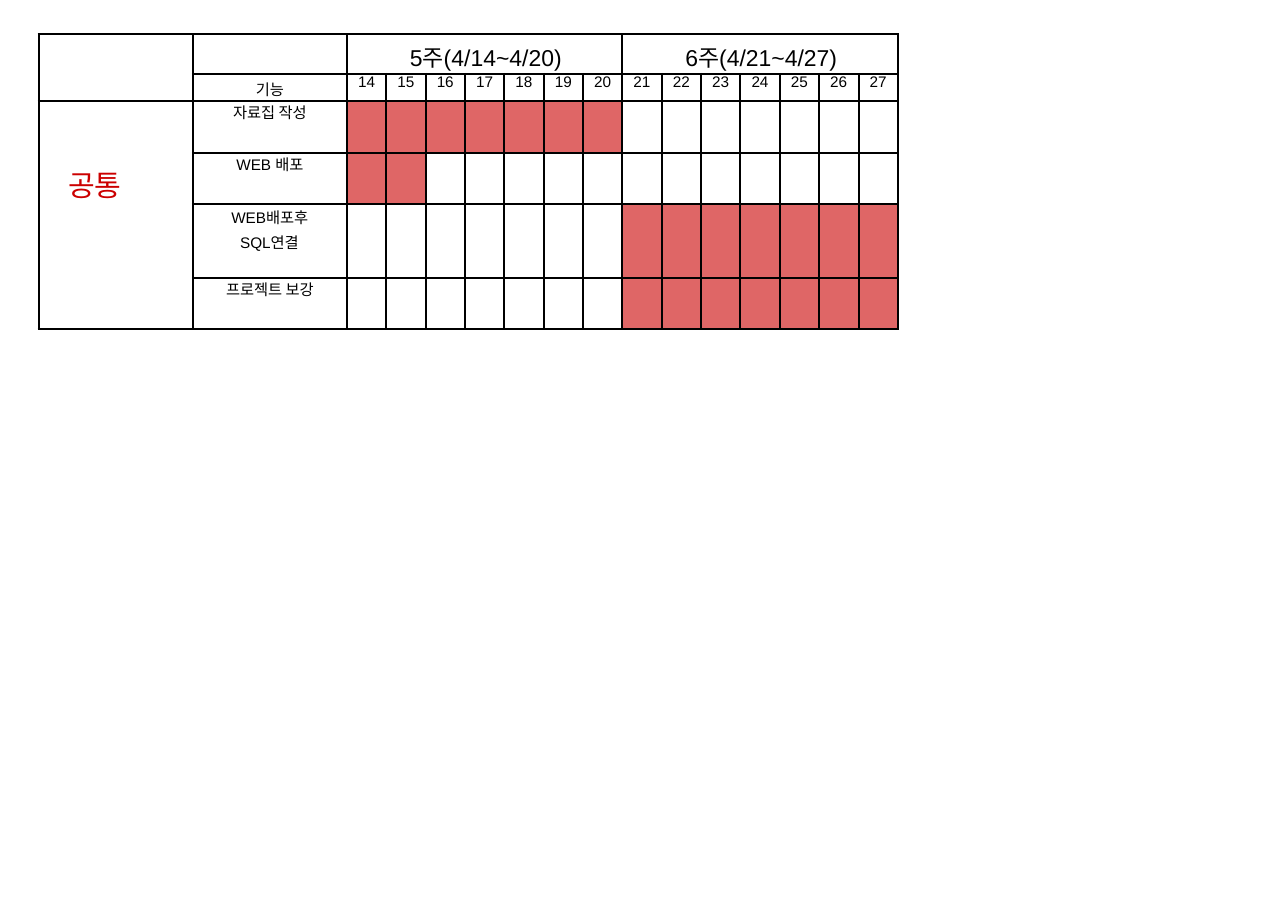
from dataclasses import dataclass

from lxml import etree
from pptx import Presentation
from pptx.dml.color import RGBColor
from pptx.enum.text import PP_ALIGN
from pptx.oxml.ns import qn
from pptx.util import Inches, Pt

LEFT, CENTER = PP_ALIGN.LEFT, PP_ALIGN.CENTER


@dataclass(frozen=True)
class Theme:
    latin: str = "Arial"
    korean: str = "Noto Sans CJK KR"
    ink: str = "000000"
    accent: str = "CC0000"
    bar: str = "DF6666"
    week_size: int = 15
    group_size: int = 19
    body_size: int = 10
    border: float = 1.5


class ScheduleSlide:
    def __init__(self, prs, theme):
        self.theme = theme
        self.slide = prs.slides.add_slide(prs.slide_layouts[6])

    def table(self, left, top, cols, rows):
        frame = self.slide.shapes.add_table(
            len(rows), len(cols), Inches(left), Inches(top),
            Inches(sum(cols)), Inches(sum(rows)))
        tbl = frame.table
        tbl.first_row = tbl.horz_banding = False
        for col, width in zip(tbl.columns, cols):
            col.width = Inches(width)
        for row, height in zip(tbl.rows, rows):
            row.height = Inches(height)
        for cell in tbl.iter_cells():
            self.clear(cell)
        return tbl

    def clear(self, cell):
        """Plain cell: no insets, no fill, thin border on each side."""
        for side in ("left", "right", "top", "bottom"):
            setattr(cell, f"margin_{side}", 0)
        tcPr = cell._tc.get_or_add_tcPr()
        for tag in ("a:lnL", "a:lnR", "a:lnT", "a:lnB"):
            ln = etree.SubElement(tcPr, qn(tag), w=str(Pt(self.theme.border)))
            fill = etree.SubElement(ln, qn("a:solidFill"))
            etree.SubElement(fill, qn("a:srgbClr"), val=self.theme.ink)
        cell.fill.background()
        end = cell.text_frame.paragraphs[0]._p.get_or_add_endParaRPr()
        end.set("sz", str(self.theme.body_size * 100))

    def bar(self, cell):
        cell.fill.solid()
        cell.fill.fore_color.rgb = RGBColor.from_string(self.theme.bar)

    def text(self, cell, runs, size, color=None, indent=(0, 0, 0), **fmt):
        """Write runs; indent is left, right and first line in inches."""
        p = cell.text_frame.paragraphs[0]
        for name, value in fmt.items():
            setattr(p, name, value)
        pPr = p._p.get_or_add_pPr()
        for name, value in zip(("marL", "marR", "indent"), indent):
            pPr.set(name, str(Inches(value)))
        for words in runs:
            r = p.add_run()
            r.text = words
            name = self.theme.latin if words.isascii() else self.theme.korean
            font = {"size": Pt(size), "name": name}
            for key, value in font.items():
                setattr(r.font, key, value)
            r.font.color.rgb = RGBColor.from_string(color or self.theme.ink)
            etree.SubElement(r._r.get_or_add_rPr(), qn("a:ea"), typeface=name)


# Schedule data
DAYS = range(14, 28)
WEEKS = [["5", "주", "(4/14~4/20)"], ["6", "주", "(4/21~4/27)"]]
CENTERED = {"indent": (0.28, 0.28, 0), "alignment": CENTER,
            "space_before": Pt(8.3)}
WRAPPED = {"indent": (0.43, 0.34, -0.08), "alignment": LEFT,
           "space_before": Pt(0.8), "line_spacing": Pt(16.1)}
TASKS = [  # name runs, first day, last day, format
    (["자료집 작성"], 14, 20, CENTERED),
    (["WEB ", "배포"], 14, 15, CENTERED),
    (["WEB", "배포후 ", "SQL", "연결"], 21, 27, WRAPPED),
    (["프로젝트 ", "보강"], 21, 27, CENTERED),
]
FIRST_DAY_COL, FIRST_TASK_ROW, WEEK = 2, 2, 7


def main():
    prs = Presentation()
    prs.slide_width, prs.slide_height = Inches(11.69), Inches(8.28)
    theme = Theme()
    s = ScheduleSlide(prs, theme)

    # Grid
    cols = [1.4, 1.4] + [2.5 / WEEK] * len(DAYS)
    tbl = s.table(0.35, 0.31, cols, [0.36, 0.25, 0.47, 0.46, 0.46, 0.47])
    tbl.cell(0, 0).merge(tbl.cell(1, 0))

    # Week and day headings
    for i, week in enumerate(WEEKS):
        col = FIRST_DAY_COL + i * WEEK
        tbl.cell(0, col).merge(tbl.cell(0, col + WEEK - 1))
        s.text(tbl.cell(0, col), week, theme.week_size,
               indent=(0.57, 0, 0), line_spacing=Pt(25.5))
    s.text(tbl.cell(1, 1), ["기능"], theme.body_size,
           **{**CENTERED, "space_before": Pt(0.5), "line_spacing": Pt(17.1)})
    for col, day in enumerate(DAYS, FIRST_DAY_COL):
        s.text(tbl.cell(1, col), [str(day)], theme.body_size,
               indent=(0.1, 0, 0), space_before=Pt(4.3))

    # Group heading
    group = tbl.cell(FIRST_TASK_ROW, 0)
    group.merge(tbl.cell(FIRST_TASK_ROW + len(TASKS) - 1, 0))
    group.margin_top = Inches(0.56)
    s.text(group, ["공통"], theme.group_size, theme.accent, (0.27, 0, 0))

    # Tasks and their bars
    for row, (name, start, end, fmt) in enumerate(TASKS, FIRST_TASK_ROW):
        s.text(tbl.cell(row, 1), name, theme.body_size, **fmt)
        for col, day in enumerate(DAYS, FIRST_DAY_COL):
            if start <= day <= end:
                s.bar(tbl.cell(row, col))

    prs.save("out.pptx")


if __name__ == "__main__":
    main()
